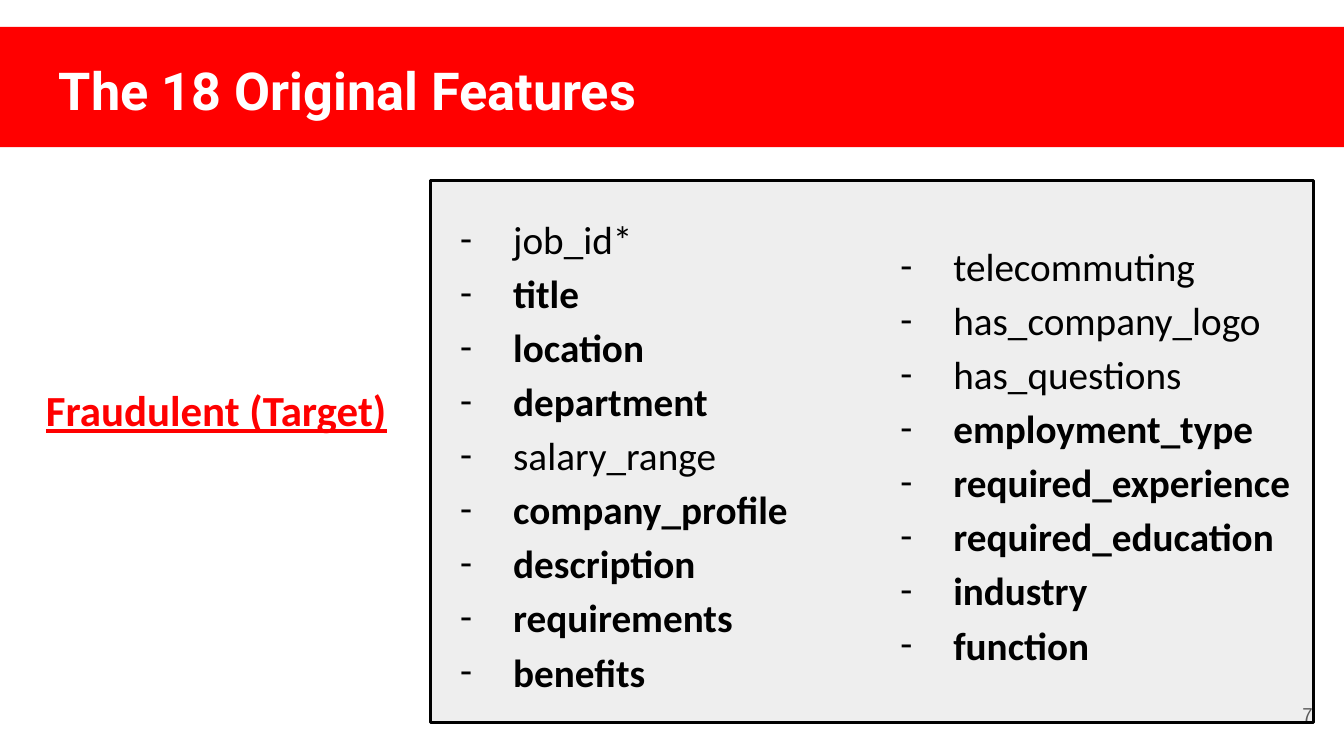
from lxml import etree
from pptx import Presentation
from pptx.dml.color import RGBColor
from pptx.enum.shapes import MSO_SHAPE
from pptx.enum.text import MSO_ANCHOR, PP_ALIGN
from pptx.oxml.ns import qn
from pptx.util import Pt

RECT = MSO_SHAPE.RECTANGLE
TOP, MIDDLE = MSO_ANCHOR.TOP, MSO_ANCHOR.MIDDLE
LEFT, CENTER, RIGHT = PP_ALIGN.LEFT, PP_ALIGN.CENTER, PP_ALIGN.RIGHT

PX = 4572  # 200 px to the inch
COLORS = {"red": "FF0000", "panel": "EEEEEE", "black": "000000",
          "white": "FFFFFF", "gray": "595959"}


def color(name):
    return RGBColor.from_string(COLORS[name])


def add_text(box, lines, size, font="Calibri", ink="black", bold=(),
             line=False, align=LEFT, anchor=TOP, space=1.15, dash=False):
    """Add one paragraph per line; bold holds the lines set in bold."""
    shape = slide.shapes.add_textbox(*[n * PX for n in box])
    frame = shape.text_frame
    frame.word_wrap = True
    frame.vertical_anchor = anchor
    frame.margin_left = frame.margin_right = 20 * PX
    frame.margin_top = frame.margin_bottom = 20 * PX
    for i, text in enumerate(lines):
        para = frame.paragraphs[0] if i == 0 else frame.add_paragraph()
        para.alignment = align
        para.line_spacing = space
        run = para.add_run()
        run.text = text
        run.font.name = font
        run.font.size = Pt(size)
        run.font.bold = text in bold
        run.font.underline = line
        run.font.color.rgb = color(ink)
        if dash:
            props = para._p.get_or_add_pPr()
            props.set("marL", str(100 * PX))
            props.set("indent", str(-79 * PX))
            tint = etree.SubElement(props, qn("a:buClr"))
            etree.SubElement(tint, qn("a:srgbClr"), val=COLORS[ink])
            etree.SubElement(props, qn("a:buFont"), typeface=font)
            etree.SubElement(props, qn("a:buChar"), char="-")


deck = Presentation()
deck.slide_width, deck.slide_height = 2000 * PX, 1125 * PX
slide = deck.slides.add_slide(deck.slide_layouts[6])

# Feature panel and title band
for box, fill, edge in [((641, 268, 1314, 807), "panel", "black"),
                        ((0, 40, 2004, 179), "red", None)]:
    shape = slide.shapes.add_shape(RECT, *[n * PX for n in box])
    shape.shadow.inherit = False
    shape.fill.solid()
    shape.fill.fore_color.rgb = color(fill)
    if edge:
        shape.line.color.rgb = color(edge)
        shape.line.width = Pt(1.5)
    else:
        shape.line.fill.background()

title = "The 18 Original Features"
add_text((68, 67, 1864, 126), [title], 28, font="Roboto", ink="white",
         bold=[title], space=1.0)

# Feature lists
columns = [
    (644, ["job_id*", "title", "location", "department", "salary_range",
           "company_profile", "description", "requirements", "benefits"]),
    (1299, ["telecommuting", "has_company_logo", "has_questions",
            "employment_type", "required_experience", "required_education",
            "industry", "function"]),
]
plain = {"job_id*", "salary_range", "telecommuting", "has_company_logo",
         "has_questions"}
for left, names in columns:
    add_text((left, 265, 658, 814), names, 21, bold=set(names) - plain,
             anchor=MIDDLE, dash=True)

target = "Fraudulent (Target)"
add_text((0, 540, 644, 126), [target], 23, ink="red", bold=[target],
         line=True, align=CENTER)

# Page number
add_text((1853, 1020, 120, 86), ["7"], 10, font="Arial", ink="gray",
         align=RIGHT, anchor=MIDDLE, space=1.0)

deck.save("out.pptx")
